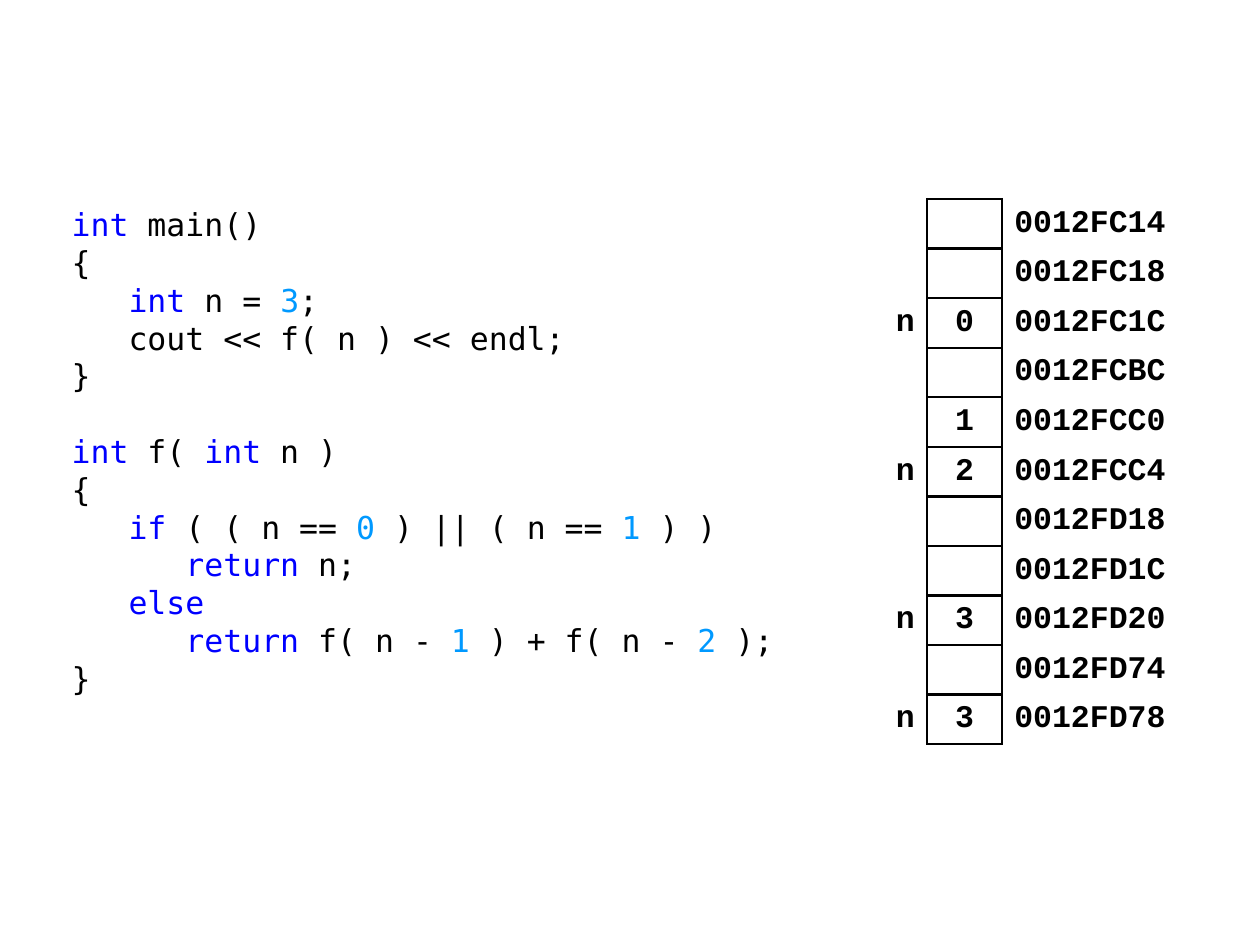
from itertools import groupby

from pptx import Presentation
from pptx.dml.color import RGBColor
from pptx.enum.text import MSO_ANCHOR, PP_ALIGN
from pptx.oxml import parse_xml
from pptx.oxml.ns import nsdecls, qn
from pptx.util import Inches, Pt

BLACK = RGBColor(0x00, 0x00, 0x00)
KEYWORD_BLUE = RGBColor(0x00, 0x00, 0xFF)
NUMBER_BLUE = RGBColor(0x00, 0x99, 0xFF)
CODE_FONT = "DejaVu Sans Mono"
TABLE_FONT = "Courier New"
FONT_SIZE = Pt(18)
LINE_PITCH = Pt(21.6)
NO_GRID_STYLE = "{2D5ABB26-0587-4C30-8999-92F81FD0307C}"

KEYWORDS = {"int", "if", "else", "return"}
CODE = """\
int main()
{
   int n = 3;
   cout << f( n ) << endl;
}

int f( int n )
{
   if ( ( n == 0 ) || ( n == 1 ) )
      return n;
   else
      return f( n - 1 ) + f( n - 2 );
}"""

# Label, stored value, address
STACK = [
    ("", "", "0012FC14"),
    ("", "", "0012FC18"),
    ("n", "0", "0012FC1C"),
    ("", "", "0012FCBC"),
    ("", "1", "0012FCC0"),
    ("n", "2", "0012FCC4"),
    ("", "", "0012FD18"),
    ("", "", "0012FD1C"),
    ("n", "3", "0012FD20"),
    ("", "", "0012FD74"),
    ("n", "3", "0012FD78"),
]
# Width, alignment, right margin and bordered sides of each column
COLUMNS = [
    (0.39, PP_ALIGN.RIGHT, 0.1, "R"),
    (0.59, PP_ALIGN.CENTER, 0.1, "LRTB"),
    (1.38, PP_ALIGN.LEFT, 0.08, "L"),
]


def add_run(p, text, font, color, bold=False):
    r = p.add_run()
    r.text = text
    r.font.name = font
    r.font.size = FONT_SIZE
    r.font.bold = bold
    r.font.color.rgb = color


def token_color(token):
    if token in KEYWORDS:
        return KEYWORD_BLUE
    return NUMBER_BLUE if token.isdigit() else BLACK


def add_code(slide, left, top, width, height):
    tf = slide.shapes.add_textbox(left, top, width, height).text_frame
    tf.word_wrap = True
    p = tf.paragraphs[0]
    for i, function in enumerate(CODE.split("\n\n")):
        for j, line in enumerate(function.split("\n")):
            if i or j:
                p = tf.add_paragraph()
            p.line_spacing = LINE_PITCH
            if i and not j:
                p.space_before = LINE_PITCH
            tokens = ["".join(chars) for _, chars in groupby(line, str.isalnum)]
            for color, group in groupby(tokens, token_color):
                add_run(p, "".join(group), CODE_FONT, color)


def add_borders(cell, sides):
    tcPr = cell._tc.get_or_add_tcPr()
    for side in sides:
        tcPr.append(parse_xml(
            f'<a:ln{side} {nsdecls("a")} w="{Pt(1.5)}"><a:solidFill>'
            f'<a:srgbClr val="{BLACK}"/></a:solidFill></a:ln{side}>'))


def add_stack_table(slide, left, top, width, height):
    frame = slide.shapes.add_table(len(STACK), len(COLUMNS), left, top, width, height)
    table = frame.table
    table.first_row = table.horz_banding = False
    table._tbl.tblPr.find(qn("a:tableStyleId")).text = NO_GRID_STYLE
    for col, (col_width, *_) in zip(table.columns, COLUMNS):
        col.width = Inches(col_width)
    for row, values in zip(table.rows, STACK):
        for cell, text, (_, align, right, sides) in zip(row.cells, values, COLUMNS):
            add_borders(cell, sides)
            cell.fill.background()
            cell.vertical_anchor = MSO_ANCHOR.MIDDLE
            cell.margin_left, cell.margin_right = Inches(0.1), Inches(right)
            cell.margin_top = cell.margin_bottom = Inches(0.04)
            p = cell.text_frame.paragraphs[0]
            p.alignment = align
            if text:
                add_run(p, text, TABLE_FONT, BLACK, bold=True)


def main():
    prs = Presentation()
    prs.slide_width, prs.slide_height = Inches(10), Inches(7.5)
    slide = prs.slides.add_slide(prs.slide_layouts.get_by_name("Blank"))
    add_code(slide, Inches(0.47), Inches(1.58), Inches(5.91), Inches(4.13))
    add_stack_table(slide, Inches(6.97), Inches(1.58), Inches(2.36), Inches(4.33))
    prs.save("out.pptx")


if __name__ == "__main__":
    main()
